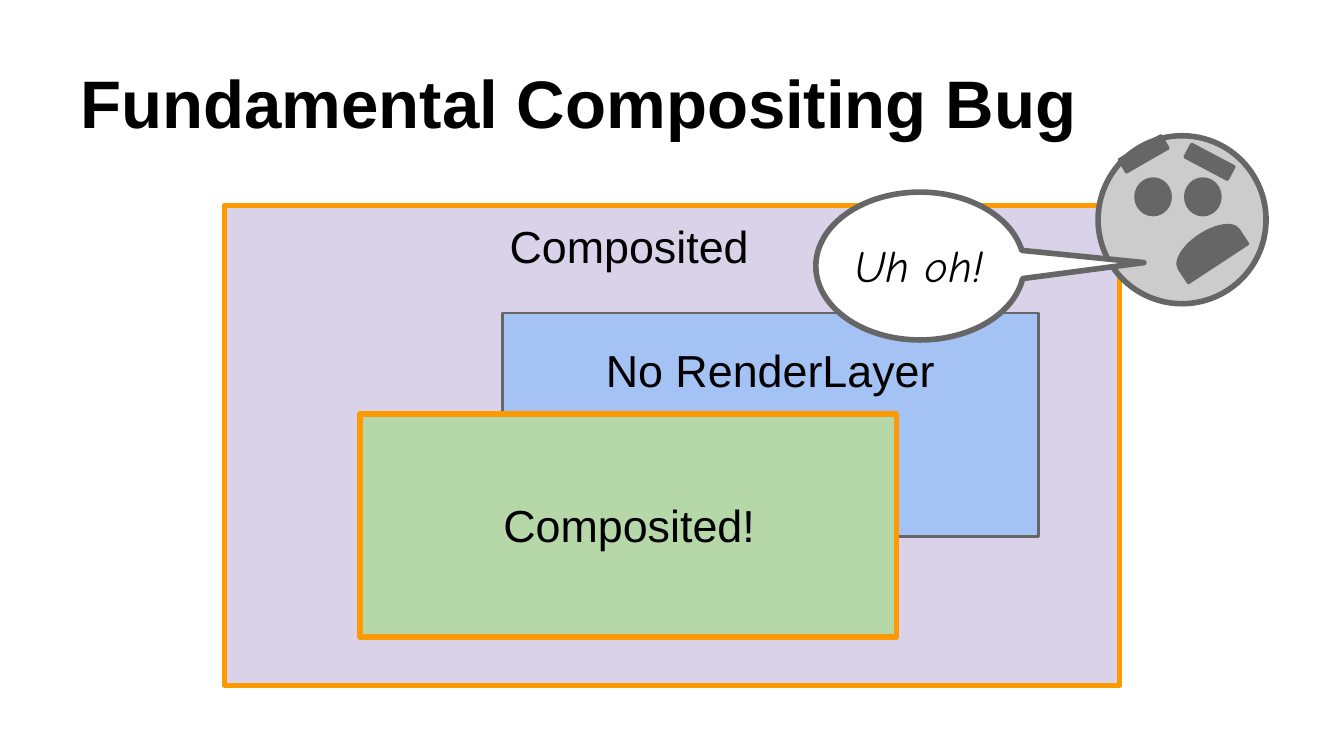
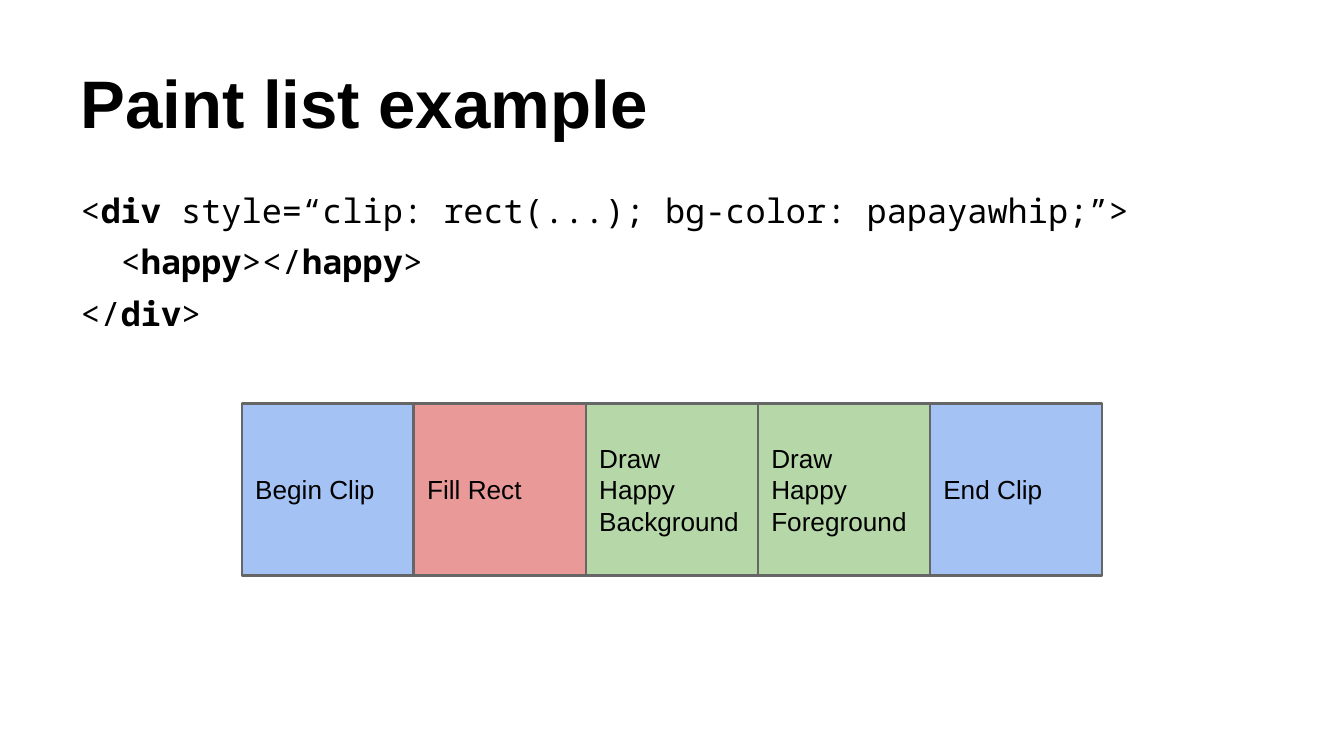
"""Build two slides on compositing and paint lists."""
from lxml.etree import SubElement
from pptx import Presentation
from pptx.dml.color import RGBColor as Rgb
from pptx.enum.shapes import MSO_SHAPE as Kind
from pptx.enum.text import MSO_ANCHOR as Anchor, PP_ALIGN as Align
from pptx.oxml.ns import qn
from pptx.util import Inches, Pt

HUES = {
    "black": "000000", "white": "FFFFFF", "gray": "666666",
    "skin": "CCCCCC", "lilac": "D9D2E9", "blue": "A4C2F4",
    "green": "B6D7A8", "red": "EA9999", "orange": "FF9900",
}


def hue(name):
    return Rgb.from_string(HUES[name])


class Deck:
    def __init__(self):
        self.prs = Presentation()
        self.prs.slide_width = Inches(10)
        self.prs.slide_height = Inches(10 * 9 / 16)

    def slide(self, title):
        page = self.prs.slides.add_slide(self.prs.slide_layouts[6])
        page.background.fill.solid()
        page.background.fill.fore_color.rgb = hue("white")
        self.host = page.shapes
        self.text(title, (0.5, 0.23, 9, 0.93), 36, Anchor.BOTTOM, bold=True)

    def group(self):
        self.host = self.host.add_group_shape().shapes

    def frame(self, shape, anchor):
        frame = shape.text_frame
        frame.word_wrap = True
        frame.vertical_anchor = anchor
        frame.margin_left = frame.margin_right = Inches(0.1)
        frame.margin_top = frame.margin_bottom = Inches(0.1)
        return frame

    def font(self, run, size, name="Arial", bold=False, slant=False):
        font = run.font
        font.size, font.name = Pt(size), name
        font.bold, font.italic = bold, slant
        font.color.rgb = hue("black")

    def fill(self, shape, text, size, anchor, align=Align.LEFT, **style):
        frame = self.frame(shape, anchor)
        frame.text = text
        for para in frame.paragraphs:
            para.alignment = align
            for run in para.runs:
                self.font(run, size, **style)

    def text(self, text, area, size, anchor=Anchor.TOP, **style):
        box = self.host.add_textbox(*map(Inches, area))
        self.fill(box, text, size, anchor, **style)

    def label(self, text, area, **style):
        self.text(text, area, 24, align=Align.CENTER, **style)

    def shape(self, kind, area, fill, line="gray", width=1.5, turn=0):
        shape = self.host.add_shape(kind, *map(Inches, area))
        shape.shadow.inherit = False
        shape.fill.solid()
        shape.fill.fore_color.rgb = hue(fill)
        shape.line.color.rgb = hue(line)
        shape.line.width = Pt(width)
        SubElement(shape.element.spPr.find(qn("a:ln")), qn("a:round"))
        shape.rotation = turn
        return shape

    def code(self, lines, area):
        frame = self.frame(self.host.add_textbox(*map(Inches, area)), Anchor.TOP)
        for row, (indent, parts) in enumerate(lines):
            para = frame.add_paragraph() if row else frame.paragraphs[0]
            para.space_before = Pt(6)
            if indent:
                para._p.get_or_add_pPr().set("marL", str(Inches(indent)))
            for spot, part in enumerate(parts):
                run = para.add_run()
                run.text = part
                self.font(run, 18, "Noto Sans Mono", bold=spot % 2 == 1)

    def face(self):
        self.shape(Kind.OVAL, (8.17, 1.01, 1.25, 1.25), "skin", width=3)
        for left in (8.45, 8.82):
            self.shape(Kind.OVAL, (left, 1.33, 0.26, 0.27), "gray")
        for left, top, turn in ((8.33, 1.09, 330.1), (8.82, 1.15, 27.9)):
            self.shape(Kind.RECTANGLE, (left, top, 0.36, 0.11), "gray", turn=turn)
        self.shape(Kind.FLOWCHART_DELAY, (8.87, 1.59, 0.25, 0.53), "gray", turn=236.7)

    def speech(self, text):
        cloud = self.shape(Kind.OVAL_CALLOUT, (6.07, 1.43, 1.55, 1.1), "white", width=3)
        cloud.adjustments[0], cloud.adjustments[1] = 1.075, -0.023
        self.label(text, (5.93, 1.67, 1.82, 0.63), name="Comic Neue", slant=True)

    def strip(self, cells, left, top, side):
        self.group()
        for spot, (text, fill) in reversed(list(enumerate(cells))):
            area = (left + spot * side, top, side, side)
            cell = self.shape(Kind.RECTANGLE, area, fill)
            self.fill(cell, text, 14, Anchor.MIDDLE)


deck = Deck()

deck.slide("Fundamental Compositing Bug")
deck.shape(Kind.RECTANGLE, (1.67, 1.53, 6.66, 3.57), "lilac", "orange", 3)
deck.shape(Kind.RECTANGLE, (3.74, 2.33, 3.99, 1.66), "blue")
deck.label("No RenderLayer", (3.97, 2.45, 3.52, 0.63))
deck.shape(Kind.RECTANGLE, (2.68, 3.08, 3.99, 1.66), "green", "orange", 3)
deck.label("Composited!", (2.92, 3.6, 3.52, 0.63))
deck.label("Composited", (2.92, 1.53, 3.52, 0.63))
deck.face()
deck.speech("Uh oh!")

deck.slide("Paint list example")
deck.code([
    (0, ["<", "div", " style=“clip: rect(...); bg-color: papayawhip;”>"]),
    (0.3, ["<", "happy", "></", "happy", ">"]),
    (0, ["</", "div", ">"]),
], (0.5, 1.31, 9, 4.07))
deck.strip([
    ("Begin Clip", "blue"),
    ("Fill Rect", "red"),
    ("Draw\nHappy\nBackground", "green"),
    ("Draw\nHappy\nForeground", "green"),
    ("End Clip", "blue"),
], 1.8, 3, 1.28)

deck.prs.save("out.pptx")
